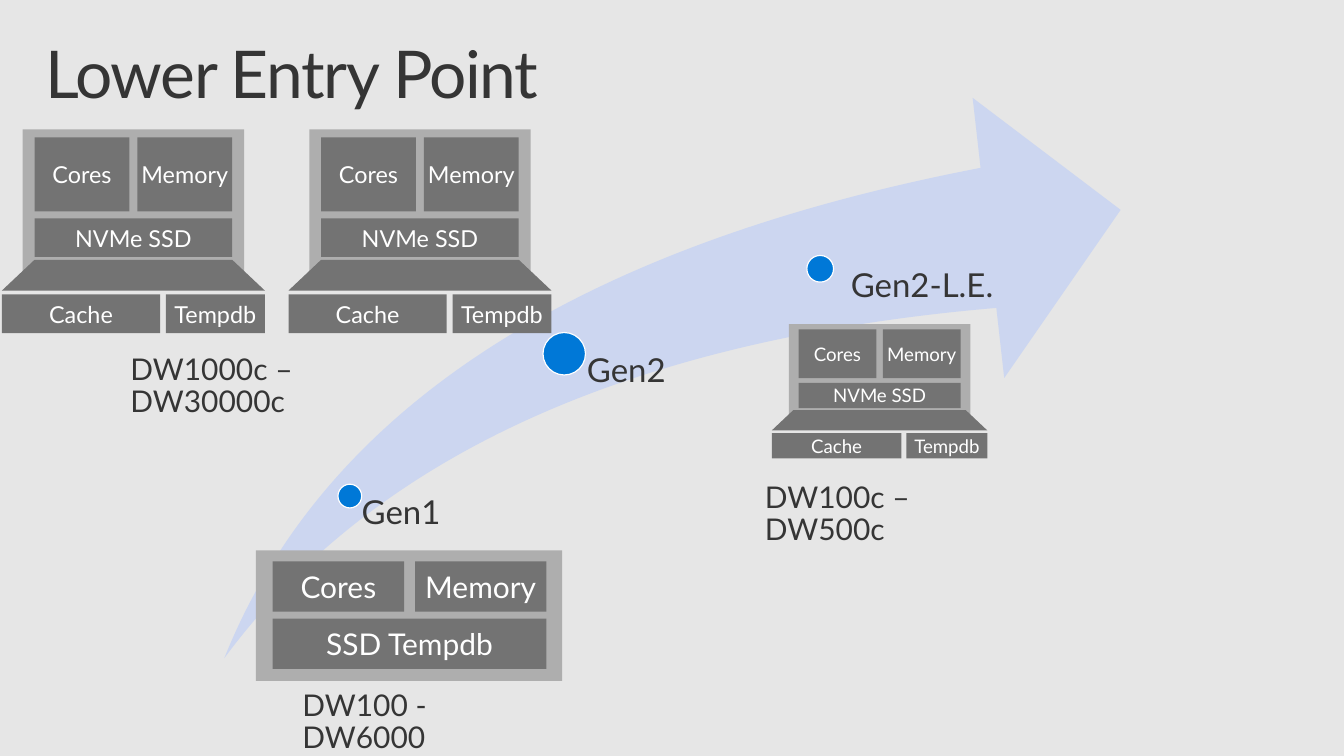
from pptx import Presentation
from pptx.dml.color import RGBColor
from pptx.enum.shapes import MSO_SHAPE
from pptx.enum.text import MSO_ANCHOR, PP_ALIGN
from pptx.util import Inches, Pt

RECTANGLE = MSO_SHAPE.RECTANGLE
ELLIPSE = MSO_SHAPE.OVAL
TRAPEZOID = MSO_SHAPE.TRAPEZOID
SWOOSH = MSO_SHAPE.SWOOSH_ARROW
MIDDLE, TOP = MSO_ANCHOR.MIDDLE, MSO_ANCHOR.TOP
CENTER, LEFT = PP_ALIGN.CENTER, PP_ALIGN.LEFT

FONT = "Lato"
BACKGROUND = "E6E6E6"
DARK_TEXT = "353535"
WHITE = "FFFFFF"
CASE_GRAY = "AEAEAE"
PART_GRAY = "737373"
ARROW_BLUE = "CCD6F0"
DOT_BLUE = "0078D7"

# Left, top, width, height and label, measured from the laptop's top left corner
LAPTOP_PARTS = [
    (0.33, 0.08, 0.96, 0.75, "Cores"),
    (1.37, 0.08, 0.96, 0.75, "Memory"),
    (0.33, 0.90, 2.00, 0.39, "NVMe SSD"),
    (0.00, 1.67, 1.60, 0.39, "Cache"),
    (1.66, 1.67, 1.00, 0.39, "Tempdb"),
]
# Left, top, scale across, scale down, text size
LAPTOPS = [
    (0.02, 1.31, 1, 1, 17),
    (2.92, 1.31, 1, 1, 17),
    (7.81, 3.28, 0.82, 0.66, 13.6),
]
SERVER_PARTS = [
    (2.76, 5.68, 1.33, 0.51, "Cores"),
    (4.20, 5.68, 1.33, 0.51, "Memory"),
    (2.76, 6.26, 2.77, 0.51, "SSD Tempdb"),
]
# Name, dot centre x and y, dot diameter, label width, label inset
GENERATIONS = [
    ("Gen1", 3.54, 5.02, 0.24, 2.11, 0.12),
    ("Gen2", 5.71, 3.58, 0.43, 2.18, 0.23),
    ("Gen2-L.E.", 8.30, 2.72, 0.27, 2.18, 0.31),
]
RANGES = [
    ("DW100 - DW6000", 2.79, 6.77, 2.99),
    ("DW1000c – DW30000c", 1.05, 3.37, 3.63),
    ("DW100c – DW500c", 7.47, 4.66, 3.14),
]


def color(hex_string):
    return RGBColor.from_string(hex_string)


def write_text(shape, text, *, size, text_color=DARK_TEXT, align=LEFT, anchor=TOP,
               insets=(0, 0, 0, 0), line_spacing=0.9, tracking=None):
    """Fill the shape with one paragraph; insets run left, top, right, bottom."""
    frame = shape.text_frame
    frame.word_wrap = True
    frame.vertical_anchor = anchor
    (frame.margin_left, frame.margin_top,
     frame.margin_right, frame.margin_bottom) = map(Inches, insets)
    paragraph = frame.paragraphs[0]
    paragraph.alignment = align
    paragraph.line_spacing = line_spacing
    run = paragraph.add_run()
    run.text = text
    run.font.name = FONT
    run.font.size = Pt(size)
    run.font.color.rgb = color(text_color)
    if tracking is not None:
        run.font._element.set("spc", str(tracking))


def add_text(shapes, text, left, top, width, height, **text_format):
    box = shapes.add_textbox(*map(Inches, (left, top, width, height)))
    write_text(box, text, **text_format)


def add_filled(shapes, kind, left, top, width, height, fill, adjustments=()):
    shape = shapes.add_shape(kind, *map(Inches, (left, top, width, height)))
    shape.shadow.inherit = False
    shape.fill.solid()
    shape.fill.fore_color.rgb = color(fill)
    shape.line.fill.background()
    for index, value in enumerate(adjustments):
        shape.adjustments[index] = value
    return shape


def add_part(shapes, left, top, width, height, label, size, inset):
    part = add_filled(shapes, RECTANGLE, left, top, width, height, PART_GRAY)
    write_text(part, label, size=size, text_color=WHITE, align=CENTER, anchor=MIDDLE,
               insets=(0, inset, 0, inset), line_spacing=1)


def add_laptop(slide, left, top, scale_x, scale_y, size):
    shapes = slide.shapes.add_group_shape().shapes

    def place(x, y, width, height):
        return left + x * scale_x, top + y * scale_y, width * scale_x, height * scale_y

    add_filled(shapes, RECTANGLE, *place(0.21, 0, 2.24, 1.54), CASE_GRAY)
    for *box, label in LAPTOP_PARTS:
        add_part(shapes, *place(*box), label, size, 0.05)
    add_filled(shapes, TRAPEZOID, *place(0, 1.32, 2.66, 0.31), PART_GRAY, [1.06])


def add_server(slide):
    shapes = slide.shapes.add_group_shape().shapes
    add_filled(shapes, RECTANGLE, 2.59, 5.57, 3.1, 1.32, CASE_GRAY)
    for part in SERVER_PARTS:
        add_part(shapes, *part, 21.8, 0.07)


def add_timeline(slide):
    shapes = slide.shapes.add_group_shape().shapes
    arrow_top, arrow_height = 0.99, 5.67
    add_filled(shapes, SWOOSH, 2.27, arrow_top, 9.07, arrow_height, ARROW_BLUE, [0.25, 0.25])
    for name, x, y, diameter, width, inset in GENERATIONS:
        radius = diameter / 2
        dot = add_filled(shapes, ELLIPSE, x - radius, y - radius, diameter, diameter, DOT_BLUE)
        dot.line.color.rgb = color(WHITE)
        dot.line.width = Pt(0.85)
        add_text(shapes, name, x, y, width, arrow_top + arrow_height - y,
                 size=24, insets=(inset, 0, 0, 0))


def main():
    presentation = Presentation()
    presentation.slide_width = Inches(13.6)
    presentation.slide_height = Inches(7.65)
    slide = presentation.slides.add_slide(presentation.slide_layouts[6])
    slide.background.fill.solid()
    slide.background.fill.fore_color.rgb = color(BACKGROUND)

    add_text(slide.shapes, "Lower Entry Point", 0.3, 0.32, 13, 1,
             size=48, insets=(0.16, 0.1, 0.16, 0.1), tracking=-100)
    add_timeline(slide)
    add_server(slide)
    for laptop in LAPTOPS:
        add_laptop(slide, *laptop)
    for text, left, top, width in RANGES:
        add_text(slide.shapes, text, left, top, width, 0.77,
                 size=21.8, insets=(0.27, 0.22, 0.27, 0.22))
    presentation.save("out.pptx")


if __name__ == "__main__":
    main()
